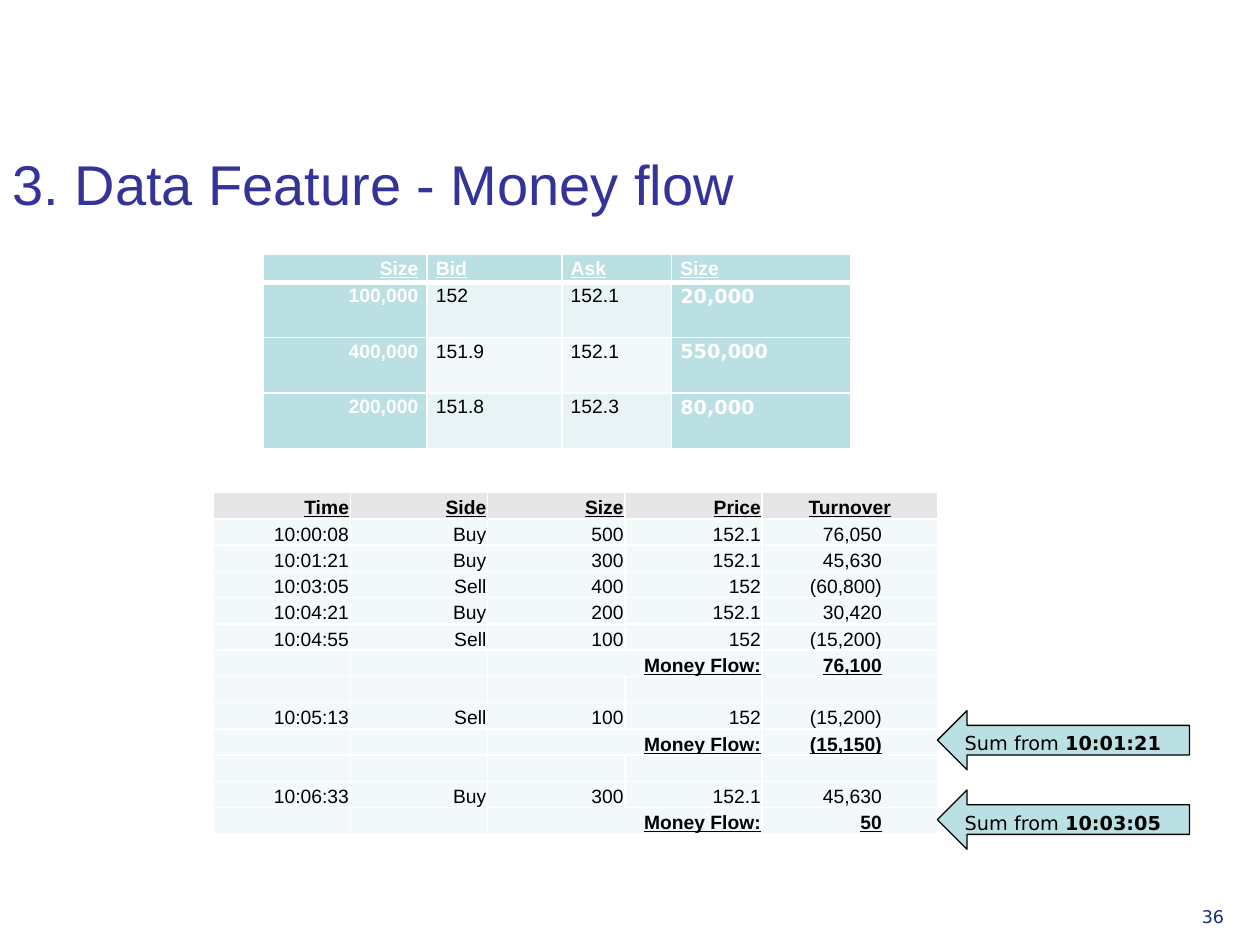
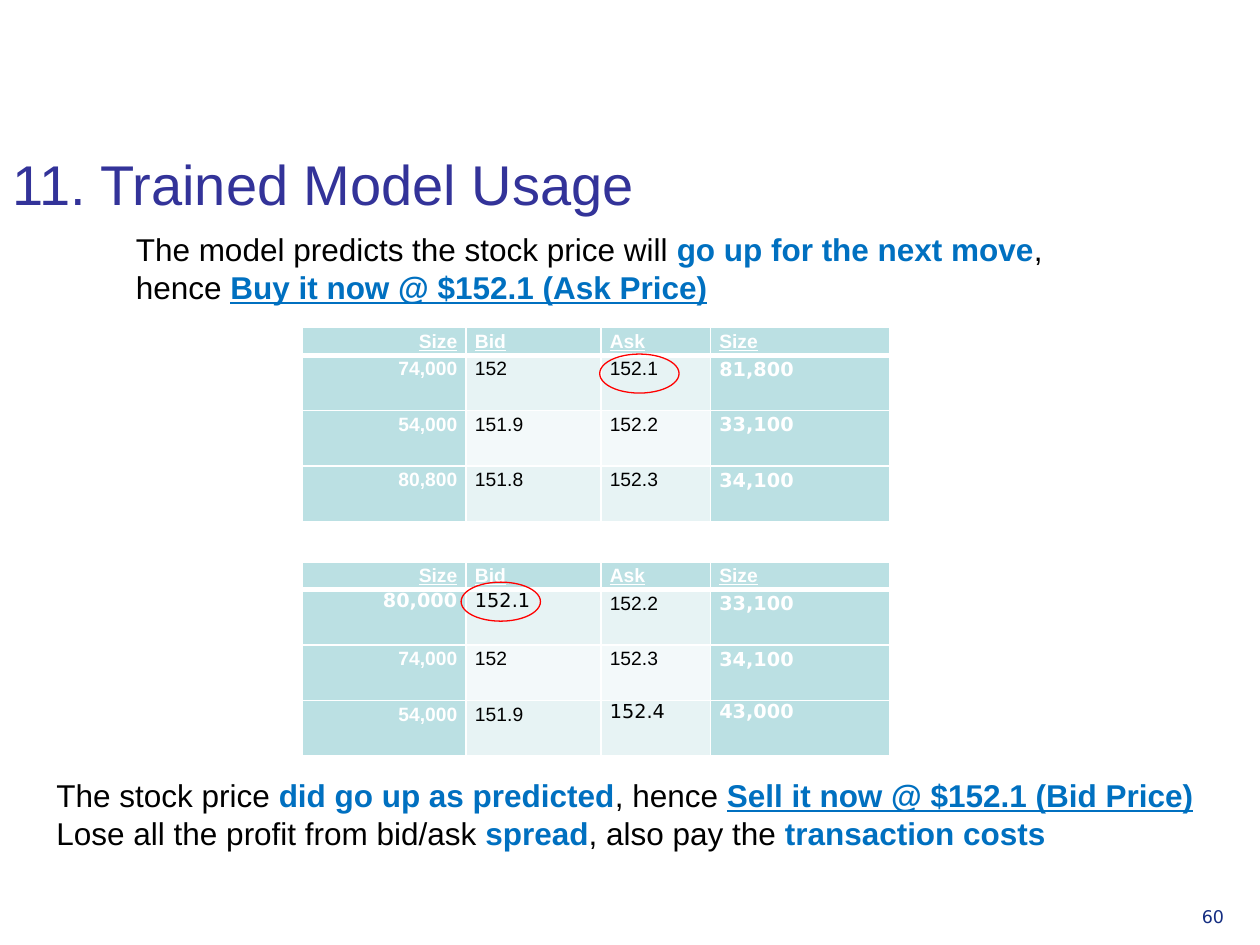
from lxml.etree import SubElement
from pptx import Presentation
from pptx.dml.color import RGBColor
from pptx.enum.shapes import MSO_SHAPE
from pptx.enum.text import MSO_ANCHOR, PP_ALIGN
from pptx.oxml.ns import qn
from pptx.util import Inches, Pt

SANS = "Arial"
WIDE = "DejaVu Sans"
WHITE, BLACK, RED = "FFFFFF", "000000", "FF0000"
NAVY, INDIGO, BLUE = "152E82", "333399", "0070C0"
TEAL, PALE, PALER, GREY = "BBE0E3", "E7F3F4", "F3F9FA", "E6E6E6"

PLAIN = {}
BOLD = {"bold": True}
TOTAL = {"bold": True, "underline": True}
KEY = {"color": BLUE, "bold": True}
ACTION = {"color": BLUE, "bold": True, "underline": True}

BOOK_HEADINGS = ["Size", "Bid", "Ask", "Size"]
TRADE_HEADINGS = ["Time", "Side", "Size", "Price", "Turnover"]


def rgb(color):
    return RGBColor.from_string(color)


class Slides:
    def __init__(self):
        self.deck = Presentation()
        self.deck.slide_width = Inches(10)
        self.deck.slide_height = Inches(7.5)
        self.page = None

    def new_page(self, title, title_width, number):
        self.page = self.deck.slides.add_slide(self.deck.slide_layouts[6])
        self.text(9.44, 7.14, 0.55, 0.39, [[(number, PLAIN)]], 10, WIDE, NAVY)
        self.text(0, 0.68, title_width, 1.09, [[(title, PLAIN)]], 32, SANS, INDIGO,
                  MSO_ANCHOR.BOTTOM)

    def add_spans(self, para, spans, size, font, color=BLACK):
        for words, style in spans:
            span = para.add_run()
            span.text = words
            span.font.size = Pt(size)
            span.font.name = font
            span.font.bold = style.get("bold", False)
            span.font.underline = style.get("underline", False)
            span.font.color.rgb = rgb(style.get("color", color))

    def text(self, left, top, width, height, lines, size, font=SANS, color=BLACK,
             anchor=MSO_ANCHOR.TOP):
        box = self.page.shapes.add_textbox(
            Inches(left), Inches(top), Inches(width), Inches(height))
        frame = box.text_frame
        frame.word_wrap = True
        frame.vertical_anchor = anchor
        for index, spans in enumerate(lines):
            para = frame.add_paragraph() if index else frame.paragraphs[0]
            self.add_spans(para, spans, size, font, color)

    def shape(self, kind, left, top, width, height, line, fill=None):
        shape = self.page.shapes.add_shape(
            kind, Inches(left), Inches(top), Inches(width), Inches(height))
        shape.shadow.inherit = False
        shape.line.color.rgb = rgb(line)
        shape.line.width = Pt(0.75)
        if fill:
            shape.fill.solid()
            shape.fill.fore_color.rgb = rgb(fill)
        else:
            shape.fill.background()
        return shape

    def sum_arrow(self, top, start):
        arrow = self.shape(MSO_SHAPE.LEFT_ARROW, 7.44, top, 2, 0.47, BLACK, TEAL)
        arrow.text_frame.word_wrap = True
        arrow.text_frame.vertical_anchor = MSO_ANCHOR.TOP
        para = arrow.text_frame.paragraphs[0]
        para.alignment = PP_ALIGN.LEFT
        self.add_spans(para, [("Sum from ", PLAIN), (start, BOLD)], 11, WIDE)

    def ring(self, left, top):
        self.shape(MSO_SHAPE.OVAL, left, top, 0.63, 0.31, RED)

    def grid(self, left, top, widths, heights):
        frame = self.page.shapes.add_table(
            len(heights), len(widths), Inches(left), Inches(top),
            Inches(sum(widths)), Inches(sum(heights)))
        table = frame.table
        table.first_row = False
        table.horz_banding = False
        for column, width in zip(table.columns, widths):
            column.width = Inches(width)
        for row, height in zip(table.rows, heights):
            row.height = Inches(height)
        return table

    def cell(self, cell, fill, margins, bottom_line=1):
        left, top, right, bottom = margins
        cell.margin_left = Inches(left)
        cell.margin_top = Inches(top)
        cell.margin_right = Inches(right)
        cell.margin_bottom = Inches(bottom)
        properties = cell._tc.get_or_add_tcPr()
        for tag, width in (("lnL", 1), ("lnR", 1), ("lnT", 1), ("lnB", bottom_line)):
            border = SubElement(properties, qn(f"a:{tag}"), w=str(Pt(width)))
            paint = SubElement(border, qn("a:solidFill"))
            SubElement(paint, qn("a:srgbClr"), val=WHITE)
        cell.fill.solid()
        cell.fill.fore_color.rgb = rgb(fill)

    def order_book(self, left, top, quotes, wide_cells=()):
        table = self.grid(left, top, [1.3, 1.07, 0.87, 1.42], [0.22] + [0.44] * 3)
        for r, values in enumerate([BOOK_HEADINGS] + quotes):
            for c, value in enumerate(values):
                header, size_column = r == 0, c in (0, 3)
                strong = header or size_column
                wide = (r, c) in wide_cells
                fill = TEAL if strong else PALE if r % 2 else PALER
                cell = table.cell(r, c)
                self.cell(cell, fill, (0.07, 0, 0.07, 0), 3 if header else 1)
                para = cell.text_frame.paragraphs[0]
                para.alignment = PP_ALIGN.LEFT if c else PP_ALIGN.RIGHT
                para.line_spacing = 1.0 if wide else 1.15
                font = WIDE if wide or (c == 3 and not header) else SANS
                self.add_spans(para, [(value, {"bold": strong, "underline": header})],
                               11, font, WHITE if strong else BLACK)

    def trade_log(self, left, top, trades):
        rows = [TRADE_HEADINGS] + trades
        table = self.grid(left, top, [1.09] * 4 + [1.39], [2.71 / len(rows)] * len(rows))
        for r, values in enumerate(rows):
            total = values[2] == "Money Flow:"
            style = TOTAL if total or r == 0 else PLAIN
            for c, value in enumerate(values):
                cell = table.cell(r, c)
                self.cell(cell, PALER if r else GREY, (0.01, 0.01, 0.01, 0))
                cell.vertical_anchor = MSO_ANCHOR.BOTTOM
                para = cell.text_frame.paragraphs[0]
                if not value:
                    SubElement(para._p, qn("a:endParaRPr"), sz="1100")
                    continue
                if c < 4:
                    para.alignment = PP_ALIGN.RIGHT
                elif r == 0:
                    para.alignment = PP_ALIGN.CENTER
                else:
                    stops = SubElement(para._p.get_or_add_pPr(), qn("a:tabLst"))
                    SubElement(stops, qn("a:tab"), pos=str(Inches(0.94)), algn="r")
                    value = "\t" + value
                self.add_spans(para, [(value, style)], 11, SANS)
            if total:
                table.cell(r, 2).merge(table.cell(r, 3))


def money_flow(slides):
    slides.new_page("3. Data Feature - Money flow", 9.72, "36")
    slides.order_book(2.09, 2.02, [
        ["100,000", "152", "152.1", "20,000"],
        ["400,000", "151.9", "152.1", "550,000"],
        ["200,000", "151.8", "152.3", "80,000"],
    ])
    gap = [""] * 5
    slides.trade_log(1.69, 3.91, [
        ["10:00:08", "Buy", "500", "152.1", "76,050"],
        ["10:01:21", "Buy", "300", "152.1", "45,630"],
        ["10:03:05", "Sell", "400", "152", "(60,800)"],
        ["10:04:21", "Buy", "200", "152.1", "30,420"],
        ["10:04:55", "Sell", "100", "152", "(15,200)"],
        ["", "", "Money Flow:", "", "76,100"],
        gap,
        ["10:05:13", "Sell", "100", "152", "(15,200)"],
        ["", "", "Money Flow:", "", "(15,150)"],
        gap,
        ["10:06:33", "Buy", "300", "152.1", "45,630"],
        ["", "", "Money Flow:", "", "50"],
    ])
    slides.sum_arrow(5.64, "10:01:21")
    slides.sum_arrow(6.27, "10:03:05")


def model_usage(slides):
    slides.new_page("11. Trained Model Usage", 8.83, "60")
    slides.order_book(2.4, 2.6, [
        ["74,000", "152", "152.1", "81,800"],
        ["54,000", "151.9", "152.2", "33,100"],
        ["80,800", "151.8", "152.3", "34,100"],
    ])
    slides.order_book(2.4, 4.46, [
        ["80,000", "152.1", "152.2", "33,100"],
        ["74,000", "152", "152.3", "34,100"],
        ["54,000", "151.9", "152.4", "43,000"],
    ], wide_cells={(1, 0), (1, 1), (3, 2), (3, 3)})
    slides.text(0.98, 1.78, 7.8, 0.71, [
        [("The model predicts the stock price will ", PLAIN),
         ("go up for the next move", KEY), (", hence ", PLAIN),
         ("Buy it now @ $152.1 (Ask Price)", ACTION)],
    ], 18)
    slides.text(0.35, 6.11, 9.37, 0.71, [
        [("The stock price ", PLAIN), ("did go up as predicted", KEY),
         (", hence ", PLAIN), ("Sell it now @ $152.1 (Bid Price)", ACTION)],
        [("Lose all the profit from bid/ask ", PLAIN), ("spread", KEY),
         (", also pay the ", PLAIN), ("transaction costs", KEY)],
    ], 18)
    slides.ring(4.76, 2.81)
    slides.ring(3.66, 4.62)


def main():
    slides = Slides()
    money_flow(slides)
    model_usage(slides)
    slides.deck.save("out.pptx")


if __name__ == "__main__":
    main()
